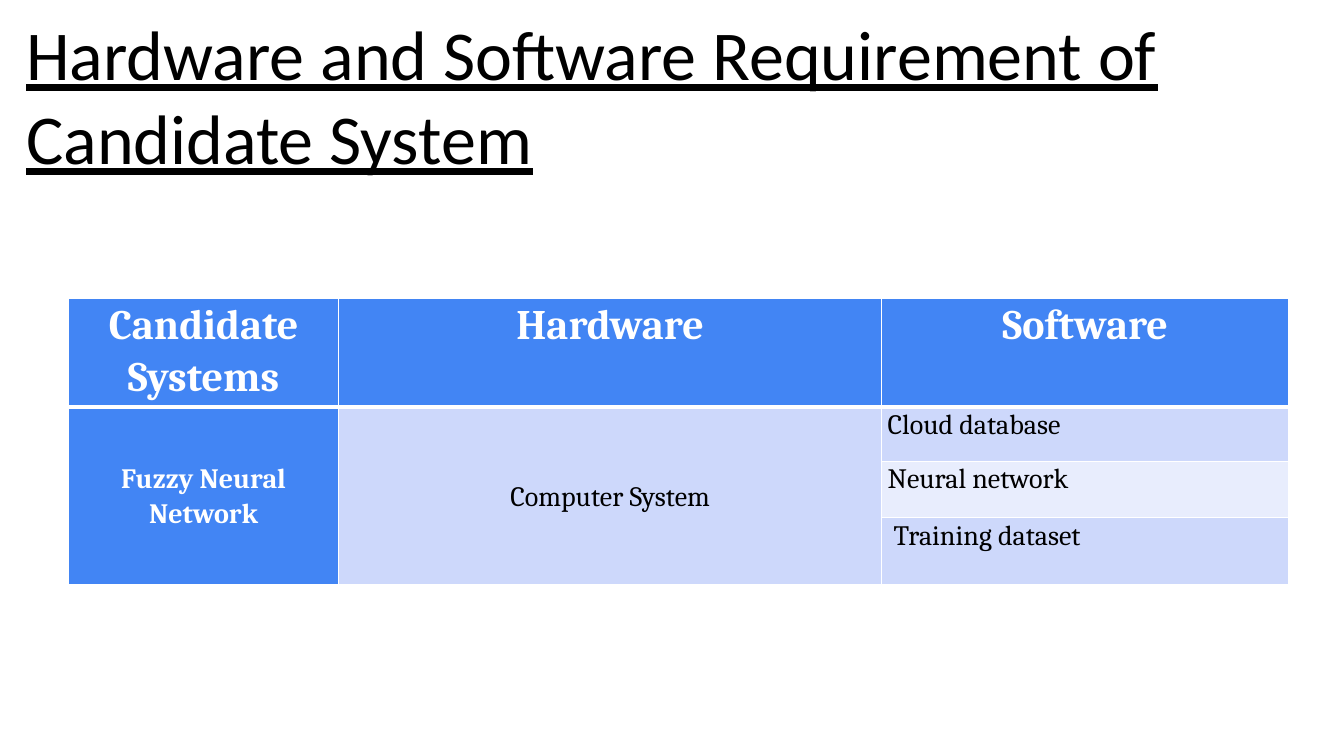
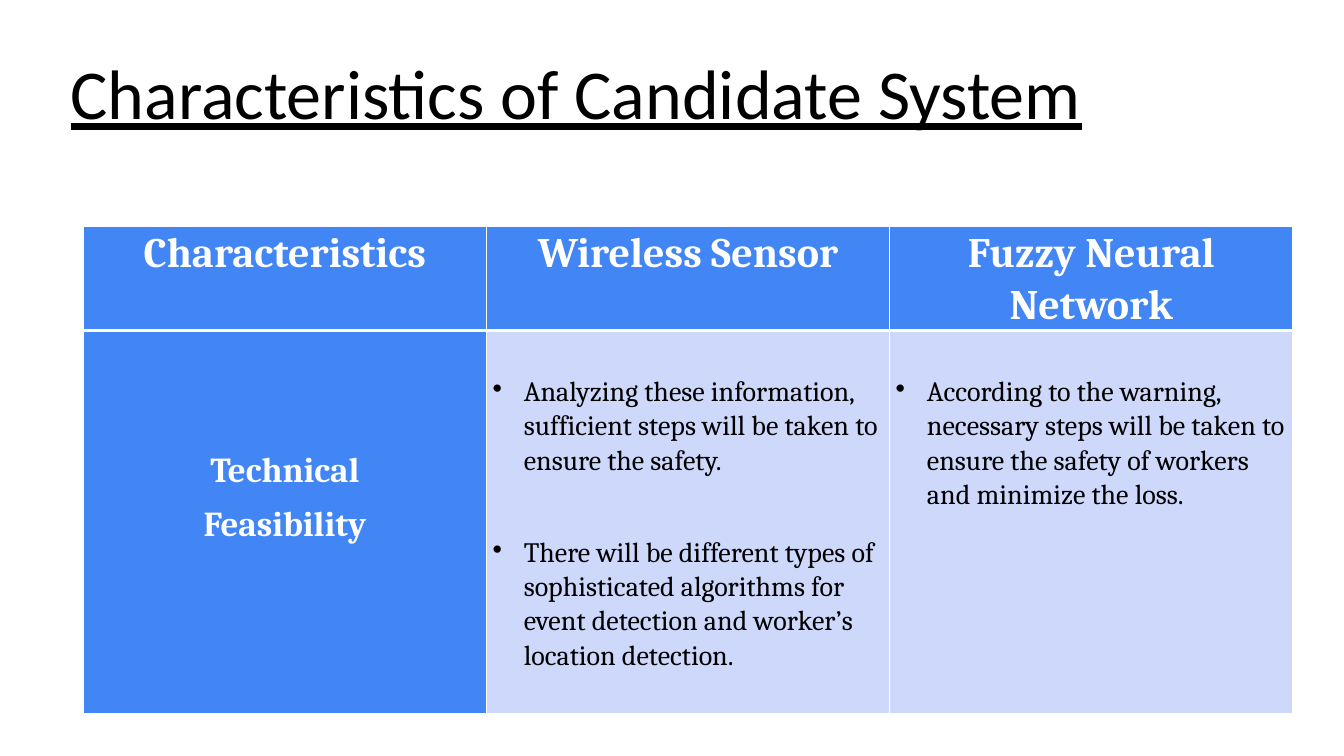
"""Build two slides with titled tables on candidate systems."""
from dataclasses import dataclass

from lxml import etree
from pptx import Presentation
from pptx import util as u
from pptx.dml.color import RGBColor
from pptx.enum import text
from pptx.oxml import ns


@dataclass(frozen=True)
class Theme:
    ink: str = "000000"
    paper: str = "FFFFFF"
    accent: str = "4285F4"
    light: str = "CDD8FB"
    pale: str = "E8EDFD"
    title_font: str = "Calibri"
    table_font: str = "Cambria"
    title_size: int = 50
    header_size: int = 30
    label_size: int = 25
    body_size: int = 20
    line_spacing: float = 1.07


theme = Theme()
LEFT, CENTER = text.PP_ALIGN.LEFT, text.PP_ALIGN.CENTER
TOP, MIDDLE = text.MSO_ANCHOR.TOP, text.MSO_ANCHOR.MIDDLE


def style_cell(cell, row, column):
    """Give a cell its borders and fill from its place in the table."""
    properties = cell._tc.get_or_add_tcPr()
    widths = {"lnL": 1, "lnR": 1, "lnT": 3 if row == 1 else 1, "lnB": 3 if row == 0 else 1}
    for side, points in widths.items():
        line = etree.SubElement(properties, ns.qn(f"a:{side}"), w=str(u.Pt(points)))
        solid = etree.SubElement(line, ns.qn("a:solidFill"))
        etree.SubElement(solid, ns.qn("a:srgbClr"), val=theme.paper)
    is_head = row == 0 or column == 0
    color = theme.accent if is_head else theme.light if row % 2 else theme.pale
    cell.fill.solid()
    cell.fill.fore_color.rgb = RGBColor.from_string(color)


def write_cell(cell, lines, size, is_head, align=CENTER, anchor=TOP, inset=0.06,
               drop=0, gap=0, bullet=False):
    """Write paragraphs into a cell, with gap points between them."""
    cell.vertical_anchor = anchor
    cell.margin_left, cell.margin_right = u.Inches(inset), u.Inches(0.06)
    cell.margin_top, cell.margin_bottom = u.Inches(drop), 0
    frame = cell.text_frame
    frame.text = "\n".join(lines)
    for index, paragraph in enumerate(frame.paragraphs):
        paragraph.alignment = align
        paragraph.line_spacing = theme.line_spacing
        if index:
            paragraph.space_before = u.Pt(gap)
        if bullet:
            properties = paragraph._p.get_or_add_pPr()
            properties.set("marL", str(u.Inches(0.31)))
            properties.set("indent", str(-u.Inches(0.31)))
            color = etree.SubElement(properties, ns.qn("a:buClr"))
            etree.SubElement(color, ns.qn("a:srgbClr"), val=theme.ink)
            etree.SubElement(properties, ns.qn("a:buChar"), char="•")
        for run in paragraph.runs:
            run.font.name = theme.table_font
            run.font.size = u.Pt(size)
            run.font.bold = is_head
            run.font.color.rgb = RGBColor.from_string(theme.paper if is_head else theme.ink)


presentation = Presentation()
presentation.slide_width, presentation.slide_height = u.Inches(13.33), u.Inches(7.5)
grid_column, grid_row = presentation.slide_width / 100, presentation.slide_height / 100

software = {"align": LEFT}
bullets = {"align": LEFT, "drop": 0.43, "gap": 41, "bullet": True}
pages = [
    {
        "title": "Hardware and Software Requirement of Candidate System",
        "title_box": (1.2, 0.7, 97.7, 28.3),
        "corner": (5.1, 39.5),
        "columns": [20.1, 40.4, 30.3],
        "rows": [14.3, 7.2, 7.5, 8.9],
        "headers": ["Candidate Systems", "Hardware", "Software"],
        "merges": [((1, 0), (3, 0)), ((1, 1), (3, 1))],
        "body": [
            (1, 0, ["Fuzzy Neural Network"], theme.body_size, {"anchor": MIDDLE}),
            (1, 1, ["Computer System"], theme.body_size, {"anchor": MIDDLE}),
            (1, 2, ["Cloud database"], theme.body_size, software),
            (2, 2, ["Neural network"], theme.body_size, software),
            (3, 2, ["Training dataset"], theme.body_size, software | {"inset": 0.12}),
        ],
    },
    {
        "title": "Characteristics of Candidate System",
        "title_box": (4.5, 5.9, 93.4, 14.8),
        "corner": (6.2, 30),
        "columns": [30, 30, 30],
        "rows": [13.6, 50.7],
        "headers": ["Characteristics", "Wireless Sensor", "Fuzzy Neural Network"],
        "merges": [],
        "body": [
            (1, 0, ["Technical", "Feasibility"], theme.label_size, {"drop": 1.17, "gap": 8}),
            (1, 1, ["Analyzing these information, sufficient steps will be taken to "
                    "ensure the safety.",
                    "There will be different types of sophisticated algorithms for "
                    "event detection and worker’s location detection."],
             theme.body_size, bullets),
            (1, 2, ["According to the warning, necessary steps will be taken to ensure "
                    "the safety of workers and minimize the loss."],
             theme.body_size, bullets),
        ],
    },
]

for page in pages:
    slide = presentation.slides.add_slide(presentation.slide_layouts[5])
    title = slide.shapes.title
    left, top, width, height = page["title_box"]
    title.left, title.width = int(left * grid_column), int(width * grid_column)
    title.top, title.height = int(top * grid_row), int(height * grid_row)
    frame = title.text_frame
    frame.text = page["title"]
    frame.word_wrap = True
    frame.auto_size = text.MSO_AUTO_SIZE.NONE
    frame.vertical_anchor = TOP
    paragraph = frame.paragraphs[0]
    paragraph.alignment = LEFT
    font = paragraph.runs[0].font
    font.name, font.size, font.underline = theme.title_font, u.Pt(theme.title_size), True
    font.color.rgb = RGBColor.from_string(theme.ink)

    left, top = page["corner"]
    table = slide.shapes.add_table(
        len(page["rows"]), len(page["columns"]),
        int(left * grid_column), int(top * grid_row),
        int(sum(page["columns"]) * grid_column), int(sum(page["rows"]) * grid_row),
    ).table
    for column, share in zip(table.columns, page["columns"]):
        column.width = int(share * grid_column)
    for row, share in zip(table.rows, page["rows"]):
        row.height = int(share * grid_row)
    for row in range(len(page["rows"])):
        for column in range(len(page["columns"])):
            style_cell(table.cell(row, column), row, column)
    for first, last in page["merges"]:
        table.cell(*first).merge(table.cell(*last))
    for column, header in enumerate(page["headers"]):
        write_cell(table.cell(0, column), [header], theme.header_size, True)
    for row, column, lines, size, options in page["body"]:
        write_cell(table.cell(row, column), lines, size, column == 0, **options)

presentation.save("out.pptx")
